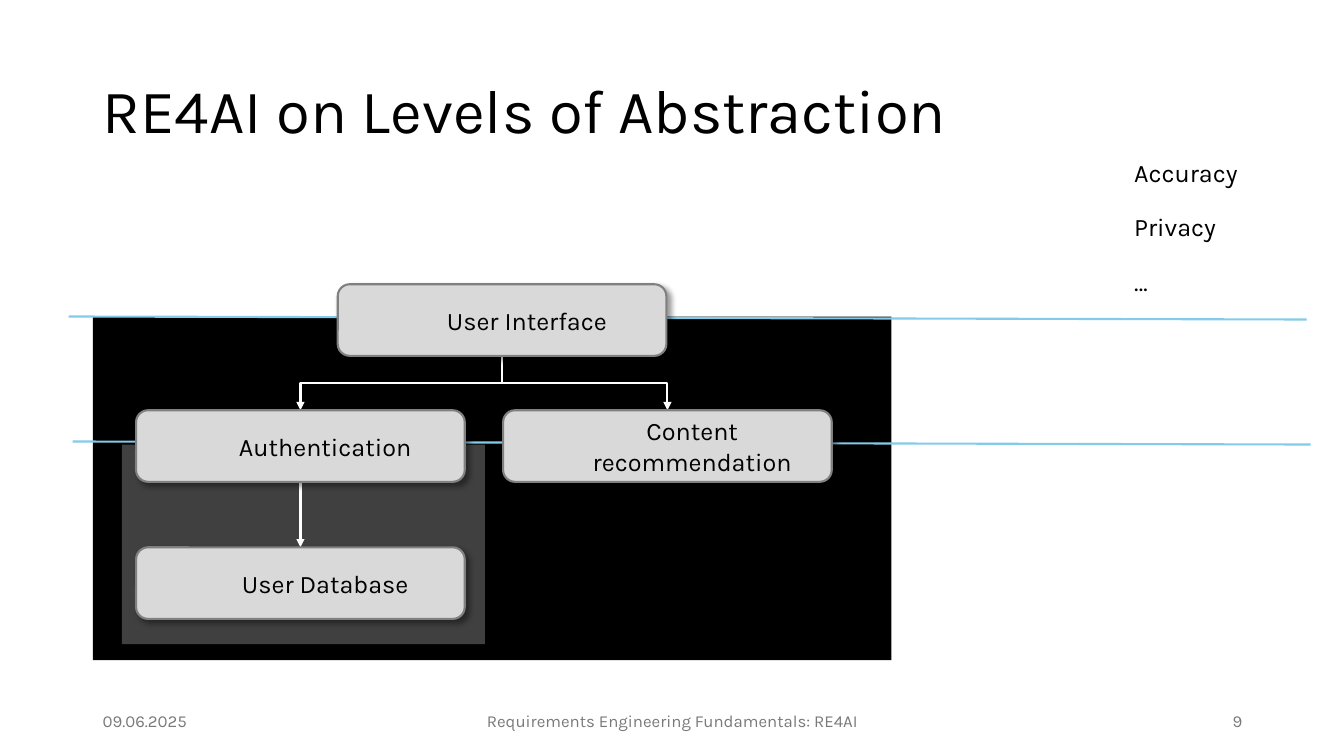
import pptx
import pptx.util
import pptx.dml.color
import pptx.enum.shapes
import pptx.enum.text
import pptx.oxml
import pptx.oxml.ns
from pptx.util import Inches

FONT = "Karla"
BLACK, WHITE, GREY, BLUE = "000000", "FFFFFF", "797979", "83CBEB"
BOX_W, BOX_H = 3.26, 0.71
KINDS = pptx.enum.shapes.MSO_SHAPE
LINKS = pptx.enum.shapes.MSO_CONNECTOR
ALIGN = pptx.enum.text.PP_ALIGN
ANCHOR = pptx.enum.text.MSO_ANCHOR


def color(code):
    return pptx.dml.color.RGBColor.from_string(code)


def add_xml(parent, tag, body="", attrs=""):
    """Append one DrawingML element to its parent."""
    space = pptx.oxml.ns.nsdecls("a")
    parent.append(pptx.oxml.parse_xml(f"<a:{tag} {space} {attrs}>{body}</a:{tag}>"))


def write(frame, text, size=18, ink=BLACK, align=ALIGN.LEFT,
          anchor=ANCHOR.MIDDLE, wrap=True, left=0.1, space=None):
    frame.word_wrap = wrap
    frame.vertical_anchor = anchor
    frame.margin_left, frame.margin_right = Inches(left), Inches(0.1)
    frame.margin_top = frame.margin_bottom = Inches(0.05)
    line = frame.paragraphs[0]
    line.text = text
    line.alignment = align
    line.line_spacing = space
    line.font.size = pptx.util.Pt(size)
    line.font.name = FONT
    line.font.color.rgb = color(ink)


def add_label(slide, text, x, y, w, h, **style):
    box = slide.shapes.add_textbox(Inches(x), Inches(y), Inches(w), Inches(h))
    write(box.text_frame, text, **style)


def add_block(slide, kind, x, y, w, h, fill):
    block = slide.shapes.add_shape(kind, Inches(x), Inches(y), Inches(w), Inches(h))
    block.shadow.inherit = False
    block.fill.solid()
    block.fill.fore_color.rgb = color(fill)
    block.line.fill.background()
    return block


def add_part(slide, text, x, y):
    """Add a rounded system part with a soft shadow."""
    part = add_block(slide, KINDS.ROUNDED_RECTANGLE, x, y, BOX_W, BOX_H, "D9D9D9")
    part.line.color.rgb = color("808080")
    part.line.width = pptx.util.Pt(1.5)
    effects = part._element.spPr.find(pptx.oxml.ns.qn("a:effectLst"))
    add_xml(effects, "outerShdw",
            '<a:srgbClr val="000000"><a:alpha val="40000"/></a:srgbClr>',
            'blurRad="50800" dist="38100" dir="2700000" algn="tl" rotWithShape="0"')
    write(part.text_frame, text, align=ALIGN.CENTER, left=0.59)


def add_line(slide, x1, y1, x2, y2, ink, kind=LINKS.STRAIGHT, arrow=False):
    link = slide.shapes.add_connector(
        kind, Inches(x1), Inches(y1), Inches(x2), Inches(y2))
    link.line.color.rgb = color(ink)
    link.line.width = pptx.util.Pt(1.5)
    if arrow:
        add_xml(link.line._get_or_add_ln(), "tailEnd", attrs='type="triangle"')
    add_xml(link._element.spPr, "effectLst")
    return link


def add_branch(slide, x1, y1, x2, y2):
    """Add an elbow arrow that leaves downwards: a turned sideways elbow."""
    side = 1 if x2 > x1 else -1
    mid_x, mid_y = (x1 + x2) / 2, (y1 + y2) / 2
    drop, reach = side * (y2 - y1) / 2, abs(x2 - x1) / 2
    link = add_line(slide, mid_x + drop, mid_y - reach, mid_x - drop, mid_y + reach,
                    WHITE, LINKS.ELBOW, arrow=True)
    turn = 270 if side > 0 else 90
    link._element.spPr.find(pptx.oxml.ns.qn("a:xfrm")).set("rot", str(turn * 60000))


def main():
    deck = pptx.Presentation()
    deck.slide_width, deck.slide_height = Inches(13.33), Inches(7.5)
    slide = deck.slides.add_slide(deck.slide_layouts[6])

    add_block(slide, KINDS.RECTANGLE, 0.92, 3.14, 7.92, 3.41, BLACK)
    add_block(slide, KINDS.RECTANGLE, 1.21, 4.41, 3.6, 1.98, "404040")
    add_label(slide, "RE4AI on Levels of Abstraction", 0.92, 0.4, 11.5, 1.45,
              size=44, space=0.9)

    for text, x, w, align in (
            ("09.06.2025", 0.92, 3, ALIGN.LEFT),
            ("Requirements Engineering Fundamentals: RE4AI", 4.42, 4.5, ALIGN.CENTER),
            ("9", 9.42, 3, ALIGN.RIGHT)):
        add_label(slide, text, x, 6.95, w, 0.4, size=12, ink=GREY, align=align)

    for row, (text, w) in enumerate((("Accuracy", 1.27), ("Privacy", 1.03), ("…", 0.47))):
        add_label(slide, text, 11.15, 1.51 + 0.54 * row, w, 0.4,
                  anchor=ANCHOR.TOP, wrap=False)

    left, top, right = 1.35, 3.35, 4.99
    first, second, third = 2.82, 4.07, 5.43
    half = BOX_W / 2
    for x in (left, right):
        add_branch(slide, top + half, first + BOX_H, x + half, second)
    add_line(slide, left + half, second + BOX_H, left + half, third, WHITE, arrow=True)

    for x, y in ((0.68, 3.14), (0.72, 4.38)):
        add_line(slide, x, y, x + 12.28, y + 0.03, BLUE)

    for text, x, y in (("User Interface", top, first),
                       ("Authentication", left, second),
                       ("Content recommendation", right, second),
                       ("User Database", left, third)):
        add_part(slide, text, x, y)

    deck.save("out.pptx")


if __name__ == "__main__":
    main()
